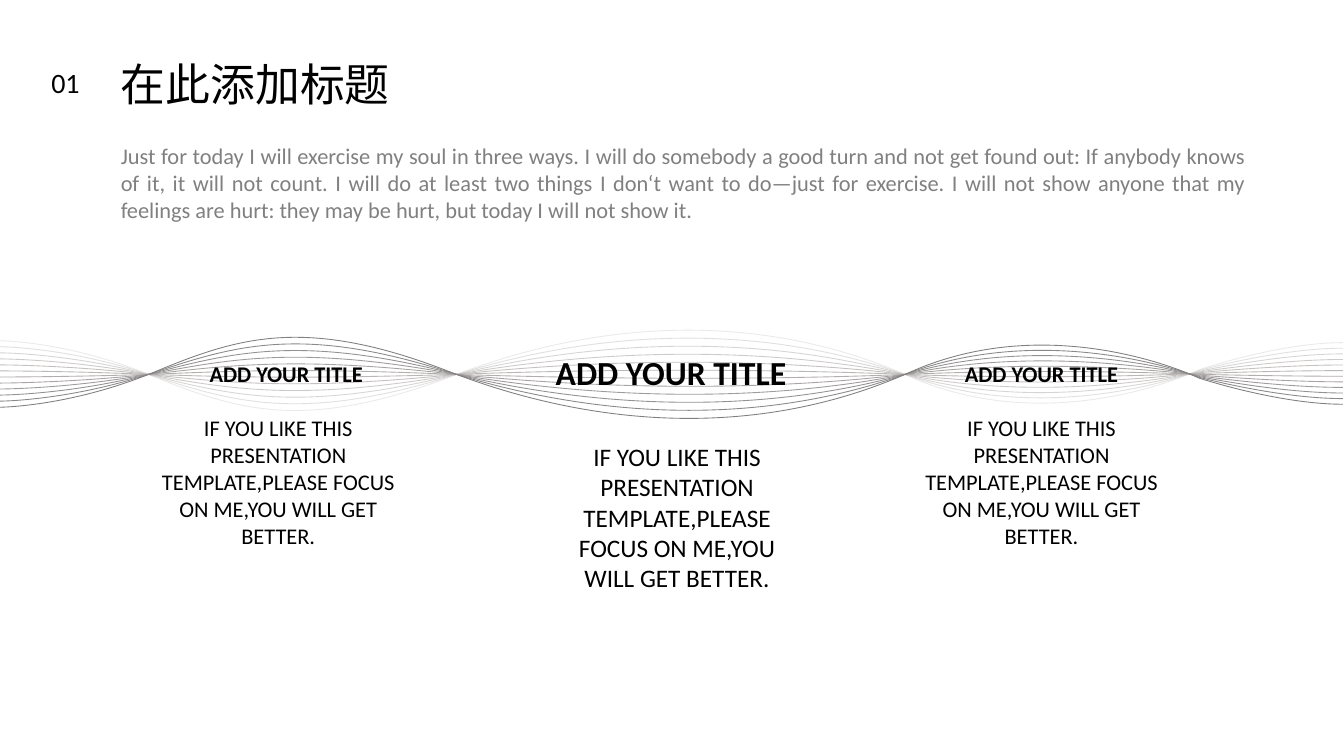
from dataclasses import dataclass

from lxml import etree
from pptx import Presentation
from pptx import util as u
from pptx.dml.color import RGBColor
from pptx.enum import text
from pptx.oxml.ns import qn

SLIDE_W, SLIDE_H = u.Inches(13.33), u.Inches(7.5)
FONT = "Calibri"
COLOURS = {"ink": "000000", "grey": "808080"}
WAVE_COLOURS = dict(enumerate((
    "EAEAEA", "E1DFDF", "D7D5D4", "CDCBCA", "C4C1C0", "BBB7B6",
    "B1AEAD", "A8A4A3", "9E9B9A", "949191", "8A8888", "808080")))

# Bezier points of the outermost waves, in percent of the slide's size
WAVE_X = (-0.08, -0.08, 5.03, 11.33, 17.63, 22.66, 33.68, 44.71,
          56.71, 67.59, 78.39, 89.2, 89.2, 89.2, 95.12, 99.92)
FIRST_Y = (45.07, 45.07, 45.07, 49.73, 54.27, 57.2, 49.73, 42.13,
           41.2, 49.73, 58.27, 48.93, 48.93, 48.93, 45.33, 45.33)
LAST_Y = (53.87, 53.87, 53.87, 49.33, 44.67, 41.6, 49.33, 56.8,
          57.87, 49.33, 40.67, 50, 50, 50, 53.47, 53.47)

INTRO = ("Just for today I will exercise my soul in three ways. I will do somebody "
         "a good turn and not get found out: If anybody knows of it, it will not "
         "count. I will do at least two things I don‘t want to do—just for exercise. "
         "I will not show anyone that my feelings are hurt: they may be hurt, but "
         "today I will not show it.")
HEADING = "ADD YOUR TITLE"
MESSAGE = ("IF YOU LIKE THIS PRESENTATION TEMPLATE,PLEASE FOCUS ON ME,"
           "YOU WILL GET BETTER.")


@dataclass
class Label:
    """A text box; left, top, width and height are percent of the slide."""
    words: str
    left: float
    top: float
    width: float
    height: float
    size: int
    align: text.PP_ALIGN = text.PP_ALIGN.CENTER
    colour: str = "ink"
    bold: bool = False
    wrap: bool = True


LEFT, JUSTIFY = text.PP_ALIGN.LEFT, text.PP_ALIGN.JUSTIFY
LABELS = [
    Label(INTRO, 8.25, 18.13, 85.22, 12.13, 16, JUSTIFY, "grey"),
    Label(HEADING, 40.51, 45.87, 18.83, 6.67, 24, bold=True, wrap=False),
    Label(HEADING, 14.78, 46.93, 13.05, 4.93, 16, bold=True, wrap=False),
    Label(HEADING, 70.97, 46.93, 13.05, 4.93, 16, bold=True, wrap=False),
    Label(MESSAGE, 41.41, 57.73, 17.93, 21.6, 18),
    Label(MESSAGE, 10.2, 54.13, 21.01, 19.33, 16),
    Label(MESSAGE, 66.99, 54.13, 21.01, 19.33, 16),
    Label("01", 3.08, 8, 3.68, 5.87, 20, LEFT, wrap=False),
    Label("在此添加标题", 8.25, 6.8, 21.68, 8.53, 32, LEFT, wrap=False),
]


def across(share: float) -> int:
    return round(SLIDE_W * share / 100)


def down(share: float) -> int:
    return round(SLIDE_H * share / 100)


def draw_wave(shapes, blend: float, colour: str) -> None:
    """Draw a wave that lies between the first (0) and the last (1)."""
    points = [(across(x), down(a + (b - a) * blend))
              for x, a, b in zip(WAVE_X, FIRST_Y, LAST_Y)]
    builder = shapes.build_freeform(*points[0])
    builder.add_line_segments(points[1:], close=False)
    s = builder.convert_to_shape()
    s.shadow.inherit = False
    s.fill.background()
    s.line.color.rgb = RGBColor.from_string(colour)
    s.line.width = u.Pt(0.63)

    # Join every three straight segments into one cubic curve
    outline = next(s._element.iter(qn("a:path")))
    segments = outline.findall(qn("a:lnTo"))
    for i in range(0, len(segments), 3):
        curve = etree.SubElement(outline, qn("a:cubicBezTo"))
        for segment in segments[i:i + 3]:
            curve.append(segment[0])
            outline.remove(segment)


def draw_label(shapes, label: Label) -> None:
    s = shapes.add_textbox(across(label.left), down(label.top),
                           across(label.width), down(label.height))
    tf = s.text_frame
    tf.word_wrap = label.wrap
    tf.auto_size = text.MSO_AUTO_SIZE.SHAPE_TO_FIT_TEXT
    tf.text = label.words
    p = tf.paragraphs[0]
    p.alignment = label.align
    r = p.runs[0]
    r.font.name = FONT
    r.font.size = u.Pt(label.size)
    r.font.bold = label.bold
    r.font.color.rgb = RGBColor.from_string(COLOURS[label.colour])


def main() -> None:
    prs = Presentation()
    prs.slide_width, prs.slide_height = SLIDE_W, SLIDE_H
    slide = prs.slides.add_slide(prs.slide_layouts[6])

    # Band of waves
    waves = slide.shapes.add_group_shape()
    for i, colour in WAVE_COLOURS.items():
        draw_wave(waves.shapes, i / (len(WAVE_COLOURS) - 1), colour)

    # Heading, introduction and the three columns
    for label in LABELS:
        draw_label(slide.shapes, label)

    prs.save("out.pptx")


if __name__ == "__main__":
    main()
